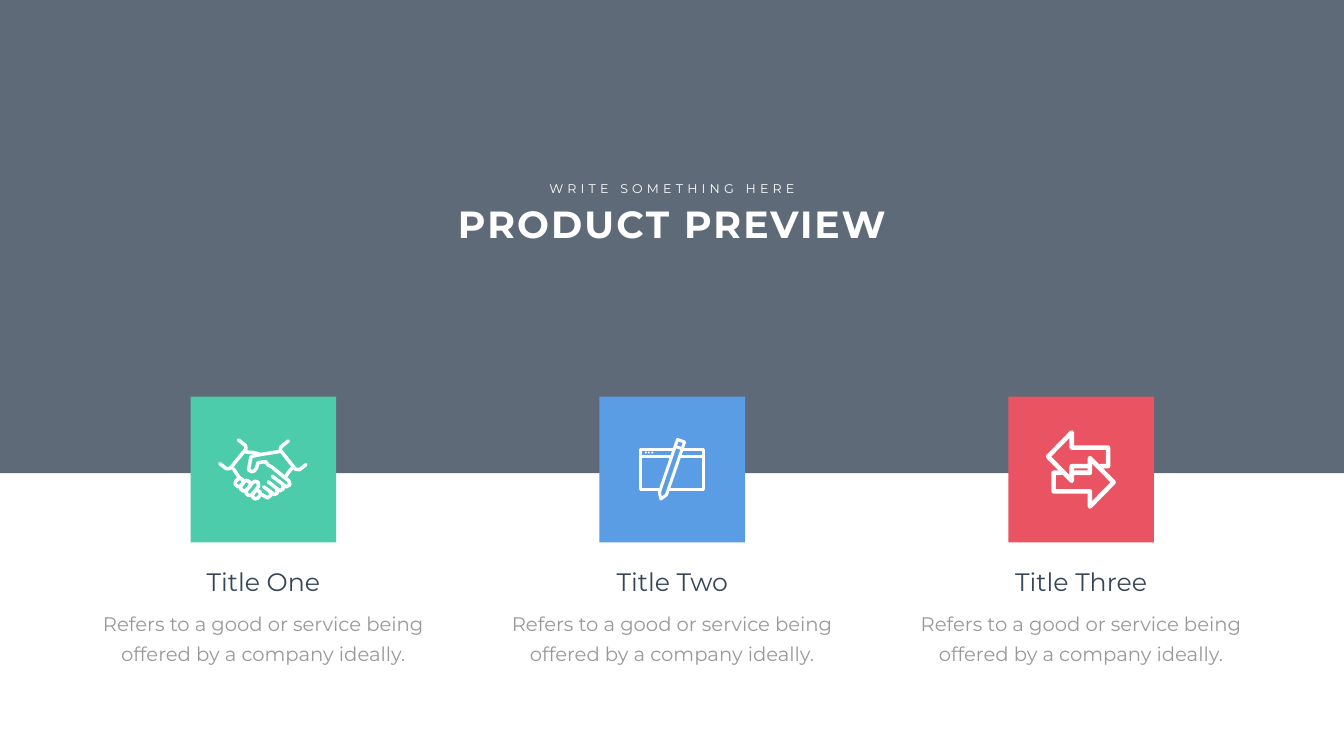
from lxml import etree
from pptx import Presentation
from pptx.dml.color import RGBColor
from pptx.enum.shapes import MSO_SHAPE
from pptx.enum.text import PP_ALIGN
from pptx.oxml.ns import qn
from pptx.util import Pt

PX = 9144
RECT = MSO_SHAPE.RECTANGLE
OVAL = MSO_SHAPE.OVAL
CENTER = PP_ALIGN.CENTER
FONT = "Montserrat"
WHITE = RGBColor(0xFE, 0xFF, 0xFE)
NAVY = RGBColor(0x37, 0x45, 0x56)
GRAY = RGBColor(0x99, 0x99, 0x99)
GREEN = RGBColor(0x4C, 0xCC, 0xAB)
BLUE = RGBColor(0x5B, 0x9D, 0xE5)
RED = RGBColor(0xE9, 0x53, 0x62)

deck = Presentation()
deck.slide_width = 2666 * PX
deck.slide_height = 1500 * PX
slide = deck.slides.add_slide(deck.slide_layouts[6])
slide.background.fill.solid()
slide.background.fill.fore_color.rgb = WHITE
shapes = slide.shapes


def add_block(kind, box, color):
    block = shapes.add_shape(kind, *[n * PX for n in box])
    block.shadow.inherit = False
    block.fill.solid()
    block.fill.fore_color.rgb = color
    block.line.fill.background()
    return block


def add_label(box, text, size, color, pad=(10, 5), bold=False, gap=0, lead=None):
    frame = shapes.add_textbox(*[n * PX for n in box]).text_frame
    frame.word_wrap = True
    frame.margin_left = frame.margin_right = pad[0] * PX
    frame.margin_top = frame.margin_bottom = pad[1] * PX
    para = frame.paragraphs[0]
    para.alignment = CENTER
    if lead:
        para.line_spacing = Pt(lead)
    run = para.add_run()
    run.text = text
    run.font.name = FONT
    run.font.size = Pt(size)
    run.font.bold = bold
    run.font.color.rgb = color
    if gap:
        run.font._element.set("spc", str(gap * 100))


band = add_block(RECT, (0, 0, 2666, 939), NAVY)
tint = band._element.spPr.find(qn("a:solidFill"))[0]
etree.SubElement(tint, qn("a:alpha")).set("val", "80000")
add_label((737, 394, 1192, 101), "PRODUCT PREVIEW", 54, WHITE, bold=True, gap=3)
add_label((1074, 354, 518, 40), "WRITE SOMETHING HERE", 18, WHITE, gap=6)

hands = [
    [(436, 920), (449, 930), (456, 930), (488, 891), (487, 884), (473, 873)],
    [(607, 922), (594, 932), (586, 931), (556, 893), (557, 887), (572, 875)],
    [(488, 897), (503, 898), (514, 901)],
    [(463, 930), (472, 944), (476, 949)],
    [(579, 929), (571, 939), (567, 945)],
    [(554, 896), (516, 902), (498, 906), (493, 932), (499, 936), (505, 934),
     (509, 928), (512, 918), (527, 916), (532, 923), (540, 927), (548, 934),
     (573, 954), (575, 962), (568, 966), (540, 945)],
    [(561, 962), (562, 970), (555, 974), (532, 956)],
    [(549, 970), (550, 979), (544, 981), (523, 966)],
    [(535, 975), (538, 982), (531, 988), (519, 981)],
    [(472, 951), (467, 956), (467, 962), (473, 966), (478, 964), (482, 959),
     (482, 952), (476, 949), (472, 951)],
    [(484, 956), (478, 964), (477, 970), (482, 974), (488, 973), (496, 964),
     (496, 957), (490, 953), (484, 956)],
    [(502, 957), (489, 973), (488, 979), (493, 983), (500, 982), (513, 965),
     (512, 957), (506, 955), (502, 957)],
    [(505, 975), (501, 980), (501, 986), (506, 990), (512, 988), (516, 983),
     (516, 976), (510, 973), (505, 975)],
]
window = [
    [(1337, 891), (1271, 891), (1271, 972), (1309, 972)],
    [(1353, 891), (1395, 891), (1395, 972), (1326, 972)],
    [(1271, 905), (1332, 905)],
    [(1349, 905), (1395, 905)],
    [(1344, 872), (1358, 877), (1322, 982), (1311, 990), (1308, 977), (1344, 872)],
    [(1339, 886), (1353, 890)],
]
left = [(2183, 925), (2198, 925), (2198, 888), (2126, 888), (2126, 858),
        (2079, 906), (2126, 954), (2126, 925), (2162, 925)]
right = [(4288 - x, 1863 - y) for x, y in left]

cards = [
    ("Title One", GREEN, hands, 7),
    ("Title Two", BLUE, window, 6),
    ("Title Three", RED, [left, right], 9),
]
for col, (title, color, icon, width) in enumerate(cards):
    x = 378 + 811 * col
    add_block(RECT, (x, 787, 289, 289), color)
    draw = shapes.build_freeform(*icon[0][0], scale=PX)
    for points in icon:
        draw.move_to(*points[0])
        draw.add_line_segments(points[1:], close=points[0] == points[-1])
    sign = draw.convert_to_shape()
    sign.shadow.inherit = False
    sign.fill.background()
    sign.line.color.rgb = WHITE
    sign.line.width = width * PX
    edge = sign._element.spPr.find(qn("a:ln"))
    edge.set("cap", "rnd")
    etree.SubElement(edge, qn("a:round"))
    add_label((x - 223, 1189, 734, 139),
              "Refers to a good or service being offered by a company ideally.",
              28, GRAY, pad=(24, 12), lead=43)
    add_label((x - 96, 1119, 481, 71), title, 36, NAVY)

for x in (1279, 1285, 1292):
    add_block(OVAL, (x, 896, 4, 4), WHITE)

deck.save("out.pptx")
